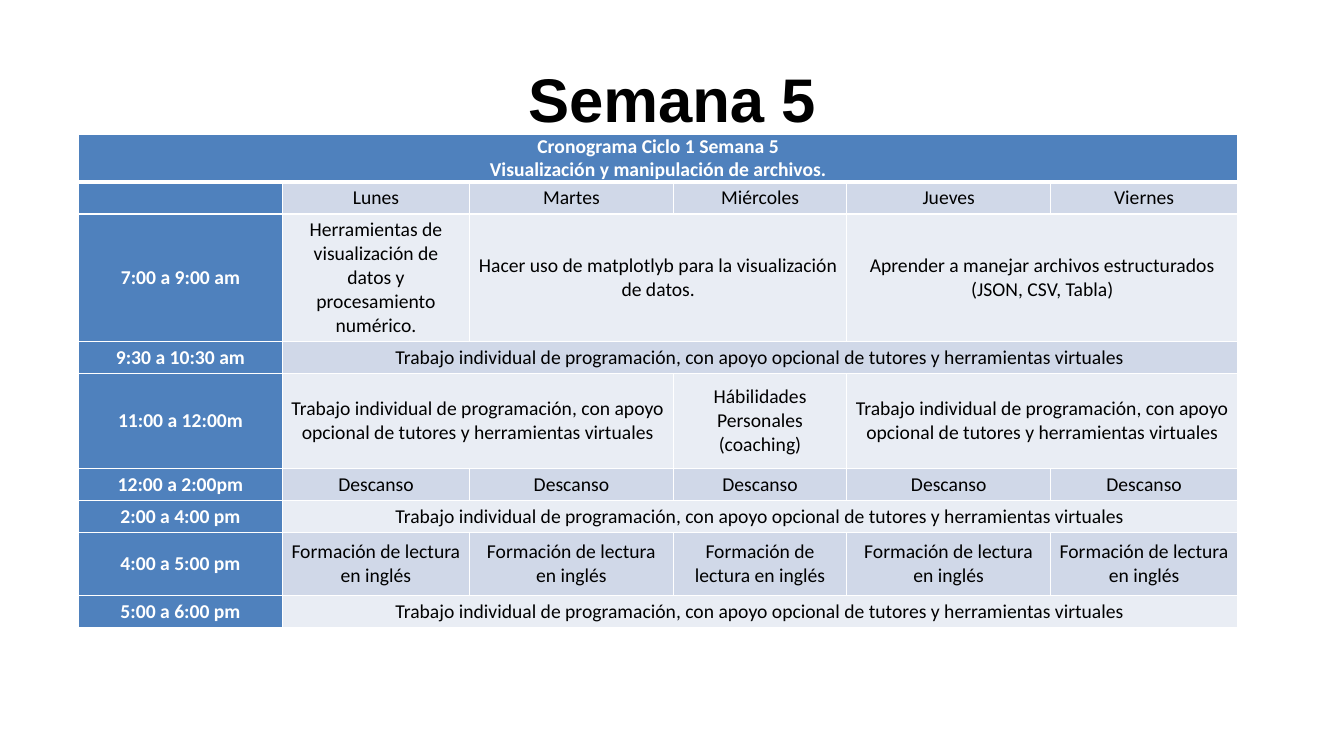
from lxml.etree import SubElement
from pptx import Presentation
from pptx.dml.color import RGBColor
from pptx.enum.text import MSO_ANCHOR as Anchor, PP_ALIGN as Align
from pptx.oxml.ns import qn
from pptx.util import Pt

# Content: each row is a time and (text, columns spanned) entries
TITLE = "Semana 5"
HEADING = "Cronograma Ciclo 1 Semana 5\nVisualización y manipulación de archivos."
DAYS = ["Lunes", "Martes", "Miércoles", "Jueves", "Viernes"]
WORK = "Trabajo individual de programación, con apoyo opcional de tutores y herramientas virtuales"
SCHEDULE = [
    ("", [(day, 1) for day in DAYS]),
    ("7:00 a 9:00 am", [
        ("Herramientas de visualización de datos y procesamiento numérico.", 1),
        ("Hacer uso de matplotlyb para la visualización de datos.", 2),
        ("Aprender a manejar archivos estructurados (JSON, CSV, Tabla)", 2)]),
    ("9:30 a 10:30 am", [(WORK, 5)]),
    ("11:00 a 12:00m", [(WORK, 2), ("Hábilidades Personales (coaching)", 1), (WORK, 2)]),
    ("12:00 a 2:00pm", [("Descanso", 1)] * 5),
    ("2:00 a 4:00 pm", [(WORK, 5)]),
    ("4:00 a 5:00 pm", [("Formación de lectura en inglés", 1)] * 5),
    ("5:00 a 6:00 pm", [(WORK, 5)]),
]

# Geometry and colours
COLUMN_WIDTHS = [145.5, 133.75, 145.5, 124, 145.5, 133.75]
ROW_HEIGHTS = [32, 22.8, 91, 22.8, 68, 22.8, 22.8, 45.4, 22.8]
TABLE_LEFT, TABLE_TOP = 56.25, 96
BLUE, WHITE, BLACK = "4F81BD", "FFFFFF", "000000"
BANDS = ["D0D8E8", "E9EDF4"]
HEADER_FONT = {"name": "Calibri", "size": Pt(14), "bold": True}
BODY_FONT = {**HEADER_FONT, "bold": False}
TITLE_FONT = {"name": "Arial", "size": Pt(44), "bold": True}


def color(value):
    return RGBColor.from_string(value)


def set_all(target, values):
    for name, value in values.items():
        setattr(target, name, value)


def write(frame, text, font, text_color):
    frame.text = text
    for para in frame.paragraphs:
        para.alignment = Align.CENTER
        for span in para.runs:
            set_all(span.font, font)
            span.font.color.rgb = color(text_color)


def add_borders(cell, widths):
    properties = cell._tc.get_or_add_tcPr()
    for side, width in widths.items():
        line = SubElement(properties, qn(f"a:ln{side}"), w=str(Pt(width)))
        fill = SubElement(line, qn("a:solidFill"))
        SubElement(fill, qn("a:srgbClr"), val=WHITE)


def fill_cell(cell, text, background, font, text_color):
    set_all(cell, {"margin_left": Pt(5.3), "margin_right": Pt(5.3), "margin_top": 0,
                   "margin_bottom": 0, "vertical_anchor": Anchor.MIDDLE})
    cell.fill.solid()
    cell.fill.fore_color.rgb = color(background)
    if text:
        write(cell.text_frame, text, font, text_color)


deck = Presentation()
deck.slide_width, deck.slide_height = Pt(960), Pt(540)
page = deck.slides.add_slide(deck.slide_layouts[5])

# Title
title = page.shapes.title
set_all(title, {"left": Pt(48), "top": Pt(40), "width": Pt(864), "height": Pt(56)})
set_all(title.text_frame, {"margin_top": Pt(4), "margin_bottom": 0,
                           "vertical_anchor": Anchor.MIDDLE, "word_wrap": True})
write(title.text_frame, TITLE, TITLE_FONT, BLACK)

# Empty timetable grid
table = page.shapes.add_table(
    len(ROW_HEIGHTS), len(COLUMN_WIDTHS), Pt(TABLE_LEFT), Pt(TABLE_TOP),
    Pt(sum(COLUMN_WIDTHS)), Pt(sum(ROW_HEIGHTS))).table
for column, width in zip(table.columns, COLUMN_WIDTHS):
    column.width = Pt(width)
for index, (row, height) in enumerate(zip(table.rows, ROW_HEIGHTS)):
    row.height = Pt(height)
    for cell in row.cells:
        add_borders(cell, {"L": 1, "R": 1, "T": 3 if index == 1 else 1,
                           "B": 3 if index == 0 else 1})

# Heading, then times and activities
rows = [[(HEADING, 6)]] + [[(time, 1)] + activities for time, activities in SCHEDULE]
for index, entries in enumerate(rows):
    position = 0
    for text, span in entries:
        cell = table.cell(index, position)
        if span > 1:
            cell.merge(table.cell(index, position + span - 1))
        if position == 0:
            fill_cell(cell, text, BLUE, HEADER_FONT, WHITE)
        else:
            fill_cell(cell, text, BANDS[(index - 1) % 2], BODY_FONT, BLACK)
        position += span

deck.save("out.pptx")
